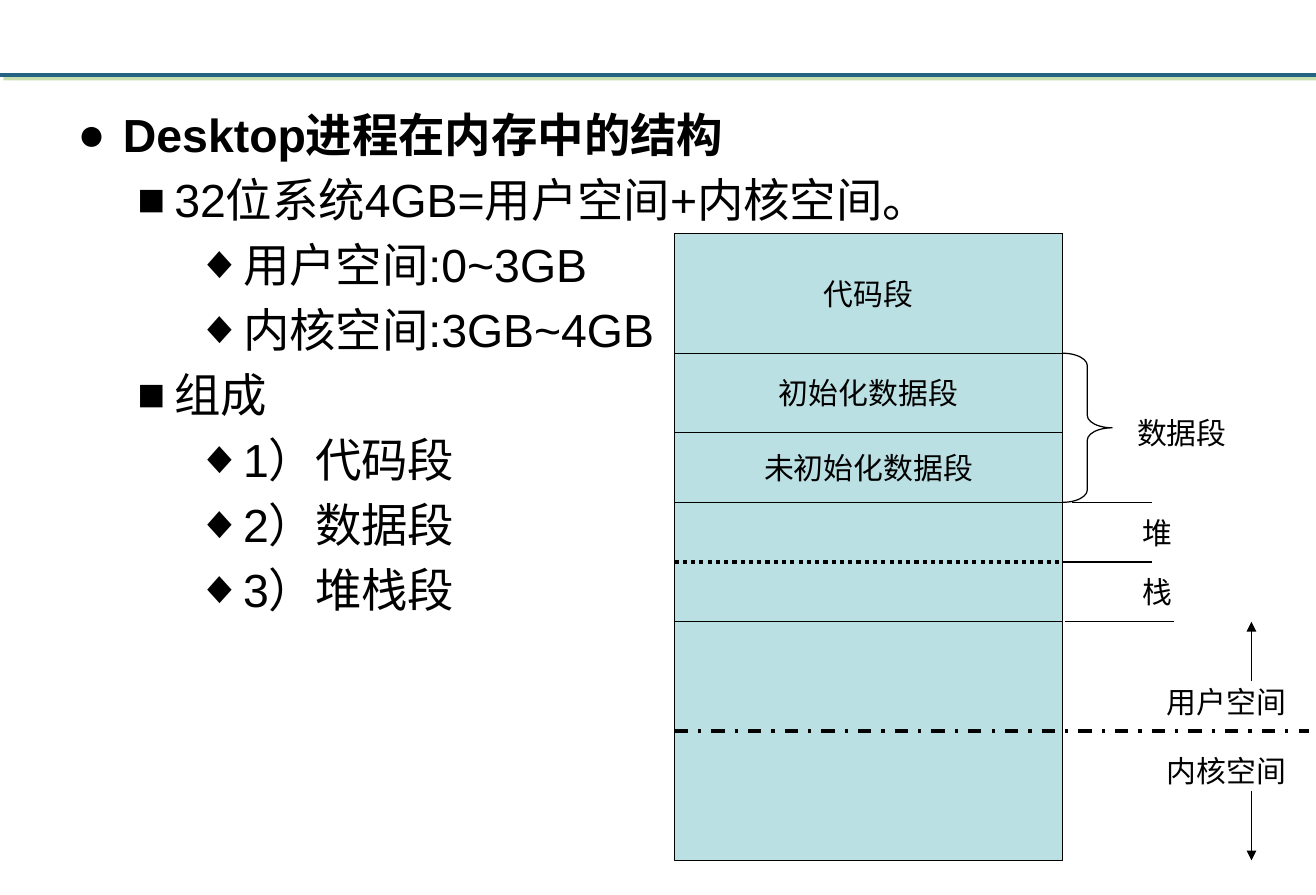
from lxml.etree import SubElement
from pptx import Presentation
from pptx.dml.color import RGBColor
from pptx.enum.dml import MSO_LINE
from pptx.enum.shapes import MSO_CONNECTOR, MSO_SHAPE
from pptx.enum.text import MSO_ANCHOR, MSO_AUTO_SIZE, PP_ALIGN
from pptx.oxml.ns import qn
from pptx.util import Cm, Inches, Pt

# Content
COLORS = dict(ink="000000", paper="FFFFFF", memory="BBE0E3", rule="236485", glow="90C060")
OUTLINE = [  # level, text
    (0, "Desktop进程在内存中的结构"),
    (1, "32位系统4GB=用户空间+内核空间。"),
    (2, "用户空间:0~3GB"),
    (2, "内核空间:3GB~4GB"),
    (1, "组成"),
    (2, "1）代码段"),
    (2, "2）数据段"),
    (2, "3）堆栈段"),
]
LEVELS = [("●", 0.38, 0.38), ("■", 0.81, 0.31), ("◆", 1.25, 0.25)]  # bullet, margin, hanging

# Diagram grid: 12 cells to the inch, counted from the memory block's corner
CELL, LEFT, TOP = 1 / 12, 5.65, 1.96
WIDTH, DEPTH = 39, 63
SEGMENTS = [("代码段", 12), ("初始化数据段", 8), ("未初始化数据段", 7)]  # text, rows
LABELS = [  # text, column, row, columns
    ("数据段", 46, 18, 10),
    ("堆", 41, 28, 15),
    ("栈", 41, 34, 15),
    ("用户空间", 48, 45, 15),
    ("内核空间", 48, 52, 15),
]
LABEL_ROWS = 4
LINES = [  # start column and row, end column and row, format
    (0, 33, WIDTH, 33, dict(width=2.5, dash=MSO_LINE.ROUND_DOT)),
    (0, 39, WIDTH, 39, {}),
    (40, 27, 48, 27, {}),
    (WIDTH, 33, 48, 33, {}),
    (39.25, 39, 50.25, 39, {}),
    (0, 50, 63.75, 50, dict(width=2, dash=MSO_LINE.DASH_DOT)),
    (58, 45, 58, 39, dict(arrow=True)),
    (58, 56, 58, DEPTH, dict(arrow=True)),
]


def rgb(name):
    return RGBColor.from_string(COLORS[name])


def x(col):
    return Inches(LEFT + col * CELL)


def y(row):
    return Inches(TOP + row * CELL)


def size(cells):
    return Inches(cells * CELL)


def write(p, text, *, font="Lato", pt=18, bold=False, align=None):
    p.alignment = align
    r = p.add_run()
    r.text = text
    r.font.name, r.font.size, r.font.bold = font, Pt(pt), bold
    r.font.color.rgb = rgb("ink")


def add_box(col, row, cols, rows, *, text="", fill="memory", line="ink", kind=MSO_SHAPE.RECTANGLE):
    sp = s.shapes.add_shape(kind, x(col), y(row), size(cols), size(rows))
    sp.shadow.inherit = False
    if fill:
        sp.fill.solid()
        sp.fill.fore_color.rgb = rgb(fill)
    else:
        sp.fill.background()
    sp.line.color.rgb = rgb(line)
    sp.line.width = Pt(0.75)
    if text:
        tf = sp.text_frame
        tf.word_wrap = False
        tf.vertical_anchor = MSO_ANCHOR.MIDDLE
        write(tf.paragraphs[0], text, align=PP_ALIGN.CENTER)
    return sp


def add_line(x1, y1, x2, y2, *, color="ink", width=0.75, dash=None, arrow=False):
    c = s.shapes.add_connector(MSO_CONNECTOR.STRAIGHT, x1, y1, x2, y2)
    c.line.color.rgb = rgb(color)
    c.line.width = Pt(width)
    if dash:
        c.line.dash_style = dash
    if arrow:
        SubElement(c.line._get_or_add_ln(), qn("a:tailEnd"), type="triangle")
    return SubElement(c._element.spPr, qn("a:effectLst"))


prs = Presentation()
prs.slide_width = Cm(28)
prs.slide_height = Inches(7.5)
s = prs.slides.add_slide(prs.slide_layouts[1])
title = s.shapes.title._element
title.getparent().remove(title)

# Header rule with its soft green shadow
effects = add_line(0, Inches(0.63), prs.slide_width, Inches(0.63), color="rule", width=2.25)
shadow = SubElement(effects, qn("a:outerShdw"), dist=str(Pt(2.8)), dir="2700000", algn="ctr")
tint = SubElement(shadow, qn("a:srgbClr"), val=COLORS["glow"])
SubElement(tint, qn("a:alpha"), val="50000")

# Bulleted outline
body = s.placeholders[1]
body.left, body.top, body.width, body.height = map(Inches, (0.55, 0.84, 9.92, 5.86))
tf = body.text_frame
tf.word_wrap = True
tf.auto_size = MSO_AUTO_SIZE.NONE
tf.vertical_anchor = MSO_ANCHOR.TOP
for i, (level, text) in enumerate(OUTLINE):
    p = tf.add_paragraph() if i else tf.paragraphs[0]
    bullet, margin, hanging = LEVELS[level]
    pPr = p._p.get_or_add_pPr()
    pPr.set("marL", str(Inches(margin)))
    pPr.set("indent", str(-Inches(hanging)))
    SubElement(pPr, qn("a:buChar"), char=bullet)
    p.level = level
    write(p, text, font="Arial", pt=28, bold=level == 0, align=PP_ALIGN.LEFT)
tf.paragraphs[0].space_before = Pt(0)

# Memory block and its named segments
add_box(0, 0, WIDTH, DEPTH)
row = 0
for text, rows in SEGMENTS:
    add_box(0, row, WIDTH, rows, text=text)
    row += rows

# Brace around the two data segments
code_rows = SEGMENTS[0][1]
brace = add_box(WIDTH, code_rows, 5, row - code_rows, fill=None, kind=MSO_SHAPE.RIGHT_BRACE)
brace.adjustments[0], brace.adjustments[1] = 0.25, 0.5

# Side labels, dividers and arrows
for text, col, row, cols in LABELS:
    add_box(col, row, cols, LABEL_ROWS, text=text, fill="paper", line="paper")
for c1, r1, c2, r2, style in LINES:
    add_line(x(c1), y(r1), x(c2), y(r2), **style)

prs.save("out.pptx")
